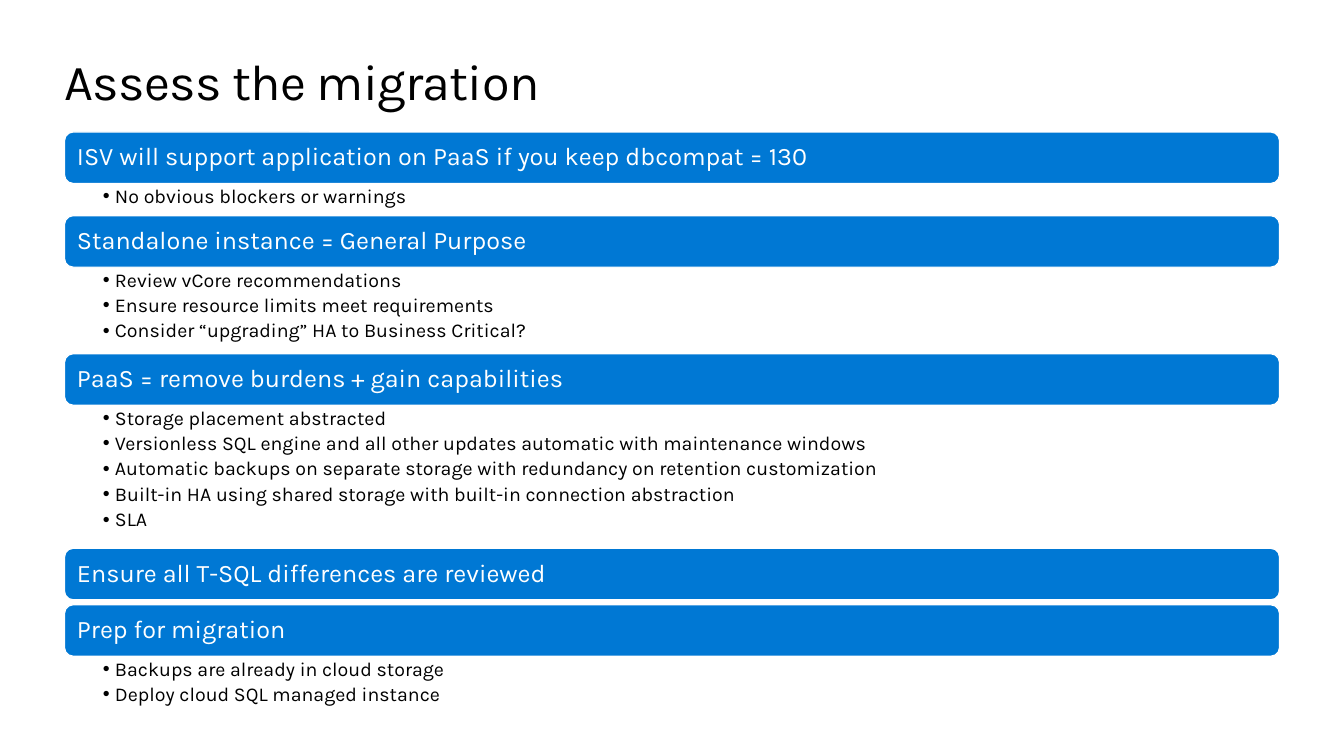
from dataclasses import dataclass

from lxml import etree
from pptx import Presentation
from pptx import util as u
from pptx.dml.color import RGBColor
from pptx.enum import shapes, text
from pptx.oxml import ns


@dataclass(frozen=True)
class Theme:
    font: str = "Karla"
    ink: RGBColor = RGBColor(0x00, 0x00, 0x00)
    paper: RGBColor = RGBColor(0xFF, 0xFF, 0xFF)
    accent: RGBColor = RGBColor(0x00, 0x78, 0xD4)
    title_size: int = 36
    bar_size: int = 18
    list_size: int = 14


LEFT, WIDTH, BAR_HEIGHT = 0.64, 12.05, 0.51

# Heading, bar top, list height, list items
SECTIONS = [
    ("ISV will support application on PaaS if you keep dbcompat = 130", 1.31, 0.33,
     ["No obvious blockers or warnings"]),
    ("Standalone instance = General Purpose", 2.14, 0.86,
     ["Review vCore recommendations",
      "Ensure resource limits meet requirements",
      "Consider “upgrading” HA to Business Critical?"]),
    ("PaaS = remove burdens + gain capabilities", 3.51, 1.43,
     ["Storage placement abstracted",
      "Versionless SQL engine and all other updates automatic with maintenance windows",
      "Automatic backups on separate storage with redundancy on retention customization",
      "Built-in HA using shared storage with built-in connection abstraction",
      "SLA"]),
    ("Ensure all T-SQL differences are reviewed", 5.44, 0, []),
    ("Prep for migration", 6.0, 0.57,
     ["Backups are already in cloud storage",
      "Deploy cloud SQL managed instance"]),
]


class SlideBuilder:
    def __init__(self, slide, theme):
        self.slide = slide
        self.theme = theme
        # The comparison layout offers one body placeholder per list
        self.bodies = iter([shape for shape in slide.placeholders
                            if shape.placeholder_format.idx in (1, 2, 3, 4)])

    def place(self, shape, top, height):
        shape.left, shape.top = u.Inches(LEFT), u.Inches(top)
        shape.width, shape.height = u.Inches(WIDTH), u.Inches(height)

    def frame(self, shape, anchor, left=0, top=0, right=0, bottom=0):
        frame = shape.text_frame
        frame.word_wrap = True
        frame.auto_size = text.MSO_AUTO_SIZE.NONE
        frame.vertical_anchor = anchor
        frame.margin_left, frame.margin_right = u.Inches(left), u.Inches(right)
        frame.margin_top, frame.margin_bottom = u.Inches(top), u.Inches(bottom)
        return frame

    def style(self, paragraph, size, color, line_spacing=0.9, space_after=0):
        paragraph.alignment = text.PP_ALIGN.LEFT
        paragraph.line_spacing = line_spacing
        paragraph.space_before = u.Pt(0)
        paragraph.space_after = u.Pt(space_after)
        font = paragraph.font
        font.name, font.size, font.bold = self.theme.font, u.Pt(size), False
        font.color.rgb = color

    def title(self, wording):
        shape = self.slide.shapes.title
        self.place(shape, 0.5, 0.61)
        frame = self.frame(shape, text.MSO_ANCHOR.TOP)
        frame.text = wording
        paragraph = frame.paragraphs[0]
        self.style(paragraph, self.theme.title_size, self.theme.ink, 1.0)
        paragraph.runs[0].font._element.set("spc", "-50")

    def bar(self, wording, top):
        shape = self.slide.shapes.add_shape(
            shapes.MSO_SHAPE.ROUNDED_RECTANGLE, u.Inches(LEFT), u.Inches(top),
            u.Inches(WIDTH), u.Inches(BAR_HEIGHT))
        shape.shadow.inherit = False
        shape.fill.solid()
        shape.fill.fore_color.rgb = self.theme.accent
        shape.line.color.rgb = self.theme.paper
        shape.line.width = u.Pt(0.85)
        frame = self.frame(shape, text.MSO_ANCHOR.MIDDLE, left=0.1, right=0.1)
        frame.text = wording
        self.style(frame.paragraphs[0], self.theme.bar_size, self.theme.paper)

    def bullets(self, items, top, height):
        shape = next(self.bodies)
        self.place(shape, top, height)
        frame = self.frame(shape, text.MSO_ANCHOR.TOP, 0.38, 0.03, 0.14, 0.03)
        frame.text = "\n".join(items)
        for paragraph in frame.paragraphs:
            paragraph.level = 1
            properties = paragraph._p.get_or_add_pPr()
            properties.set("marL", str(u.Inches(0.12)))
            properties.set("indent", str(u.Inches(-0.12)))
            etree.SubElement(properties, ns.qn("a:buChar"), char="•")
            self.style(paragraph, self.theme.list_size, self.theme.ink, space_after=3)


def main():
    presentation = Presentation()
    presentation.slide_width = u.Inches(13.33)
    presentation.slide_height = u.Inches(7.5)
    slide = presentation.slides.add_slide(
        presentation.slide_layouts.get_by_name("Comparison"))
    builder = SlideBuilder(slide, Theme())

    # Title
    builder.title("Assess the migration")

    # Heading bars with their lists
    for heading, top, list_height, items in SECTIONS:
        builder.bar(heading, top)
        if items:
            builder.bullets(items, top + BAR_HEIGHT, list_height)

    presentation.save("out.pptx")


if __name__ == "__main__":
    main()
